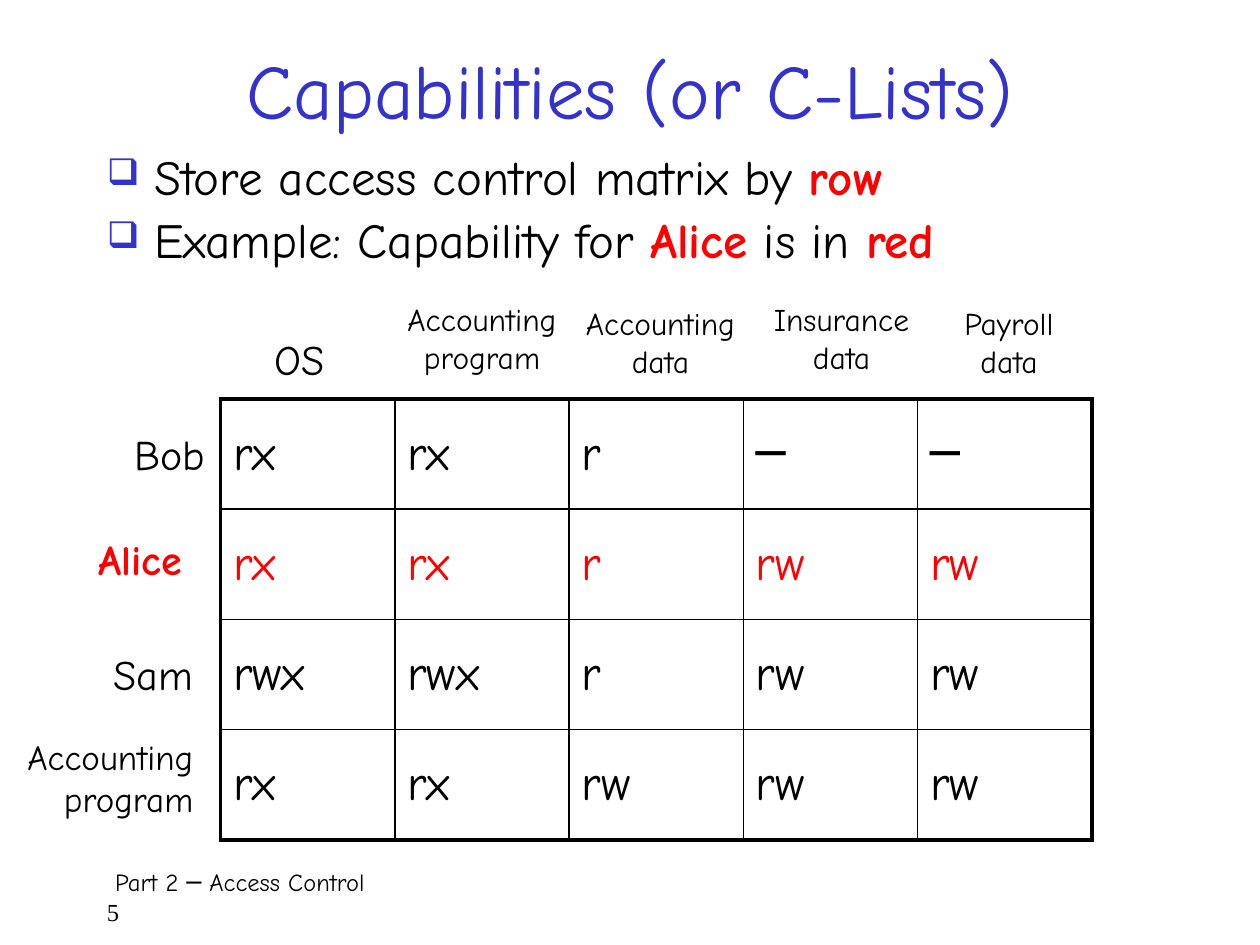
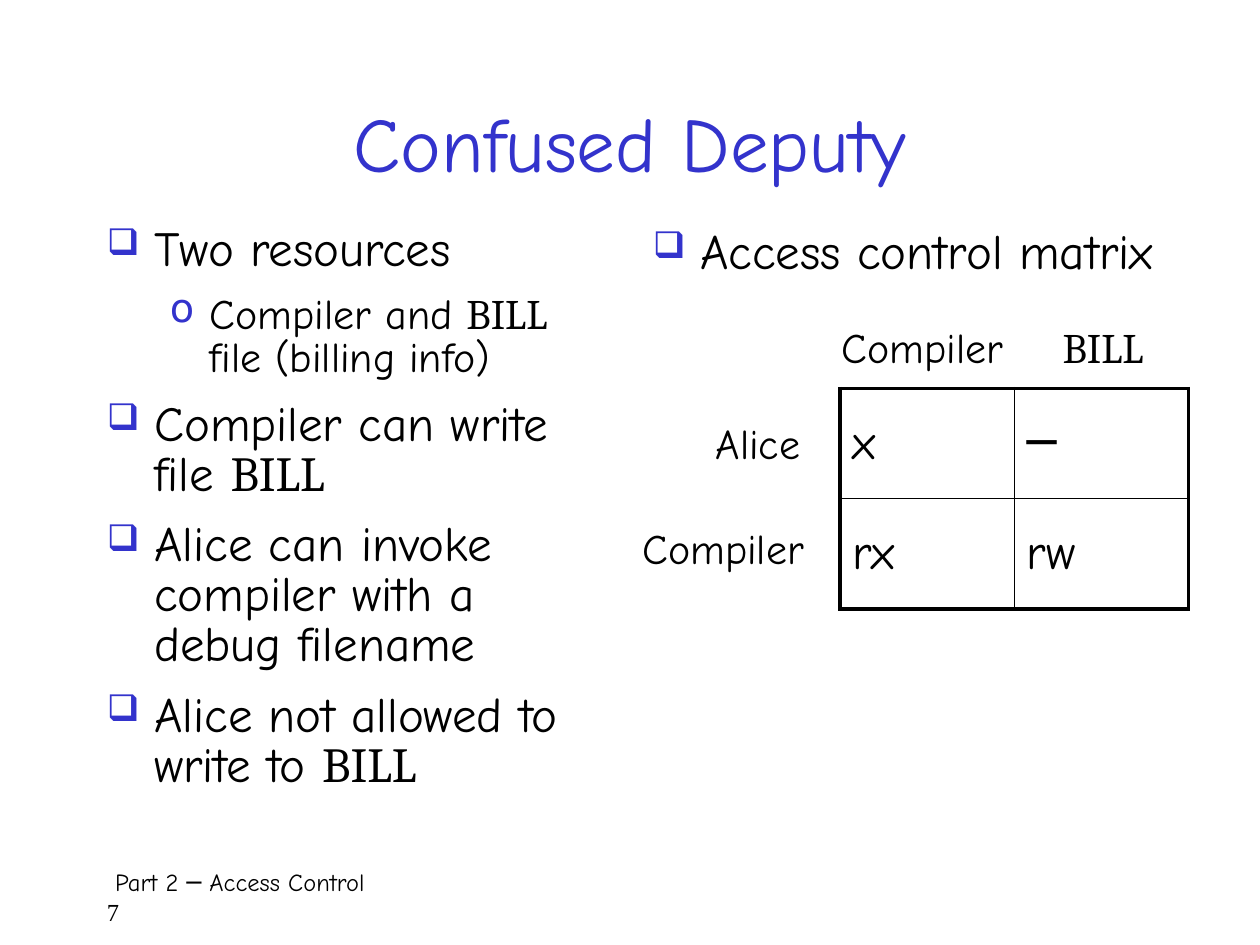
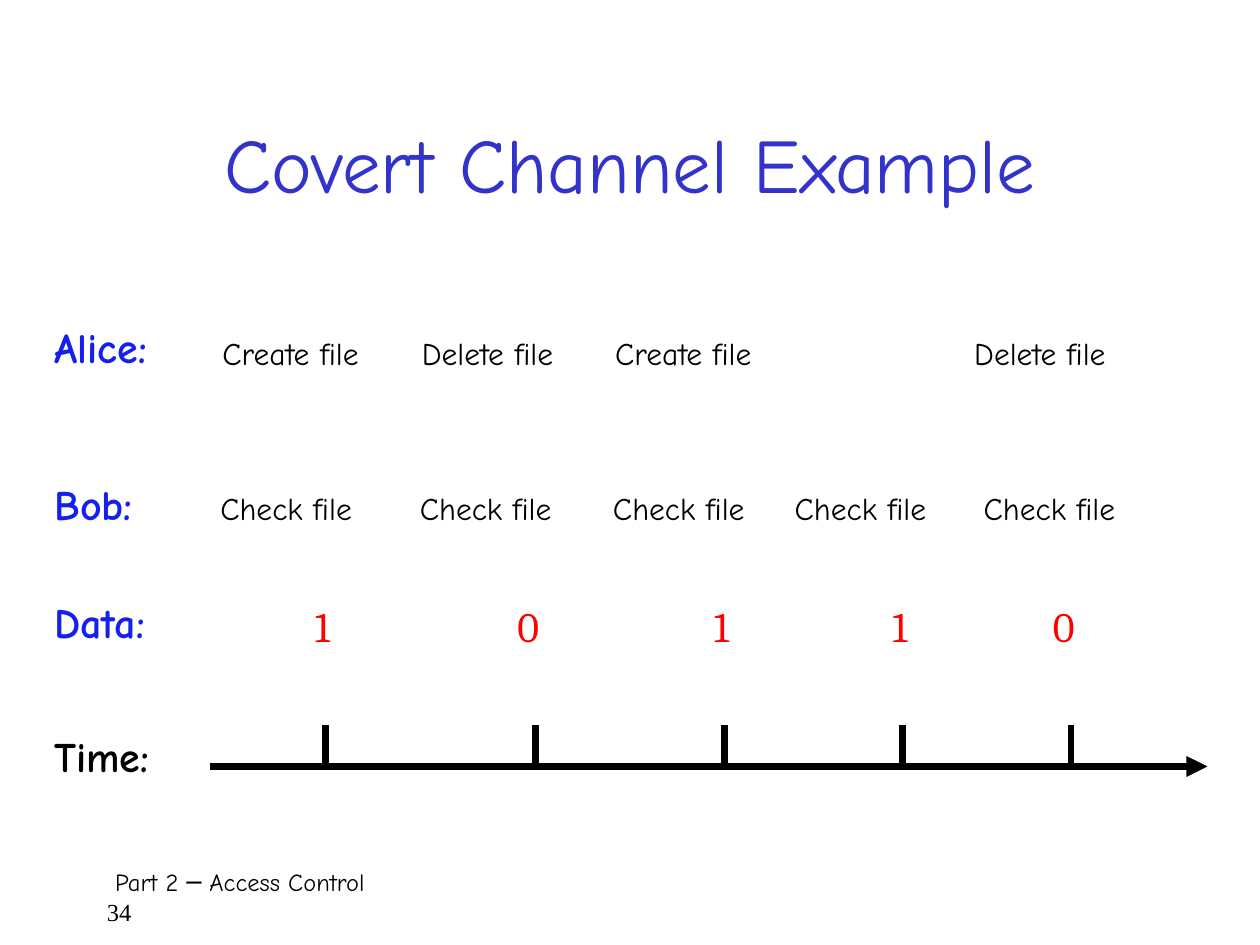
from dataclasses import dataclass
from typing import NamedTuple

import lxml.etree
import pptx
import pptx.dml.color
import pptx.enum.shapes
import pptx.enum.text
import pptx.oxml
import pptx.oxml.ns
import pptx.util

EMU_PER_PX = 7620
BLACK = pptx.dml.color.RGBColor(0x00, 0x00, 0x00)
RED = pptx.dml.color.RGBColor(0xFF, 0x00, 0x00)
INDIGO = pptx.dml.color.RGBColor(0x33, 0x33, 0xCC)
BLUE = pptx.dml.color.RGBColor(0x13, 0x20, 0xEE)
HAND = "Comic Neue"
SERIF = "Cambria"
NUMBER_FONT = "Times New Roman"
LEFT = pptx.enum.text.PP_ALIGN.LEFT
CENTER = pptx.enum.text.PP_ALIGN.CENTER
RIGHT = pptx.enum.text.PP_ALIGN.RIGHT
MIDDLE = pptx.enum.text.MSO_ANCHOR.MIDDLE
CELL_WIDTH, CELL_HEIGHT = 166, 105
THIN, THICK = 1, 2.25


class Box(NamedTuple):
    left: int
    top: int
    width: int
    height: int


class Run(NamedTuple):
    text: str
    font: str = HAND
    color: pptx.dml.color.RGBColor = BLACK
    bold: bool = False


class BulletStyle(NamedTuple):
    symbol: str
    symbol_percent: int
    size: int
    margin: int
    hanging: int


@dataclass
class Bullet:
    runs: list[Run]
    style: BulletStyle


@dataclass
class Label:
    box: Box
    text: str
    size: int = 24
    font: str = HAND
    color: pptx.dml.color.RGBColor = BLACK
    bold: bool = False
    align: pptx.enum.text.PP_ALIGN = LEFT


class TimeSlot(NamedTuple):
    tick: int
    alice_left: int
    alice_text: str
    bob_left: int
    data_left: int
    bit: str


MAIN = BulletStyle("❑", 75, 28, 45, 45)
SUB = BulletStyle("o", 95, 24, 98, 38)


def px(length: int) -> pptx.util.Emu:
    return pptx.util.Emu(length * EMU_PER_PX)


def add_child(parent, tag: str, **attributes: str):
    child = lxml.etree.SubElement(parent, pptx.oxml.ns.qn(tag))
    for name, value in attributes.items():
        child.set(name, value)
    return child


def format_run(run, size: int, font: str, color: pptx.dml.color.RGBColor, bold: bool = False) -> None:
    run.font.size = pptx.util.Pt(size)
    run.font.name = font
    run.font.color.rgb = color
    run.font.bold = bold


def add_text_frame(slide, box: Box):
    shape = slide.shapes.add_textbox(*map(px, box))
    shape.text_frame.word_wrap = True
    return shape.text_frame


def add_label(slide, label: Label) -> None:
    text_frame = add_text_frame(slide, label.box)
    text_frame.word_wrap = False
    text_frame.auto_size = pptx.enum.text.MSO_AUTO_SIZE.SHAPE_TO_FIT_TEXT
    text_frame.text = label.text
    for paragraph in text_frame.paragraphs:
        paragraph.alignment = label.align
        format_run(paragraph.runs[0], label.size, label.font, label.color, label.bold)


def add_slide(presentation, title: str, title_box: Box, number: int):
    slide = presentation.slides.add_slide(presentation.slide_layouts[6])
    footer = add_text_frame(slide, Box(90, 820, 1030, 60))
    footer.text = f"Part 2 ─ Access Control\n{number}"
    caption, page_number = footer.paragraphs
    caption._p.get_or_add_pPr().set("indent", str(px(8)))
    format_run(caption.runs[0], 14, HAND, BLACK)
    format_run(page_number.runs[0], 14, NUMBER_FONT, BLACK)

    heading = add_text_frame(slide, title_box)
    heading.vertical_anchor = MIDDLE
    heading.text = title
    heading.paragraphs[0].alignment = CENTER
    format_run(heading.paragraphs[0].runs[0], 44, HAND, INDIGO)
    return slide


def add_bullets(slide, box: Box, bullets: list[Bullet], line_spacing: float, space_after: int = 0) -> None:
    text_frame = add_text_frame(slide, box)
    for index, bullet in enumerate(bullets):
        paragraph = text_frame.add_paragraph() if index else text_frame.paragraphs[0]
        style = bullet.style
        paragraph.line_spacing = line_spacing
        paragraph.space_before = pptx.util.Pt(style.size * 0.2)
        paragraph.space_after = pptx.util.Pt(space_after)
        properties = paragraph._p.get_or_add_pPr()
        properties.set("marL", str(px(style.margin)))
        properties.set("indent", str(px(-style.hanging)))
        add_child(add_child(properties, "a:buClr"), "a:srgbClr", val=str(INDIGO))
        add_child(properties, "a:buSzPct", val=str(style.symbol_percent * 1000))
        add_child(properties, "a:buChar", char=style.symbol)
        for piece in bullet.runs:
            run = paragraph.add_run()
            run.text = piece.text
            format_run(run, style.size, piece.font, piece.color, piece.bold)


def set_borders(cell, widths: dict[str, float]) -> None:
    properties = cell._tc.get_or_add_tcPr()
    for side, width in widths.items():
        line = add_child(properties, f"a:ln{side}", w=str(pptx.util.Pt(width)))
        add_child(add_child(line, "a:solidFill"), "a:srgbClr", val=str(BLACK))


def add_matrix(slide, left: int, top: int, rows: list[list[str]], red_row: int = -1) -> None:
    row_count, column_count = len(rows), len(rows[0])
    box = Box(left, top, column_count * CELL_WIDTH, row_count * CELL_HEIGHT)
    table = slide.shapes.add_table(row_count, column_count, *map(px, box)).table
    table.first_row = False
    table.horz_banding = False
    for row, values in enumerate(rows):
        for column, value in enumerate(values):
            cell = table.cell(row, column)
            cell.vertical_anchor = MIDDLE
            cell.text_frame.text = value
            paragraph = cell.text_frame.paragraphs[0]
            paragraph.space_before = pptx.util.Pt(5.6)
            format_run(paragraph.runs[0], 28, HAND, RED if row == red_row else BLACK)
            outer_sides = {
                "L": column == 0,
                "R": column == column_count - 1,
                "T": row == 0,
                "B": row == row_count - 1,
            }
            set_borders(cell, {side: THICK if outer else THIN for side, outer in outer_sides.items()})
            cell.fill.background()


def add_line(slide, start: tuple[int, int], end: tuple[int, int], arrow: bool = False) -> None:
    connector = slide.shapes.add_connector(
        pptx.enum.shapes.MSO_CONNECTOR.STRAIGHT, *map(px, start + end)
    )
    connector.line.color.rgb = BLACK
    connector.line.width = pptx.util.Pt(4)
    if arrow:
        add_child(connector.line._get_or_add_ln(), "a:tailEnd", type="triangle")
    add_child(connector._element.spPr, "a:effectLst")


def build_capabilities(presentation) -> None:
    slide = add_slide(presentation, "Capabilities (or C-Lists)", Box(90, 20, 1020, 130), 5)
    bullets = [
        Bullet([Run("Store access control matrix by "), Run("row", color=RED, bold=True)], MAIN),
        Bullet(
            [
                Run("Example: Capability for "),
                Run("Alice", color=RED, bold=True),
                Run(" is in "),
                Run("red", color=RED, bold=True),
            ],
            MAIN,
        ),
    ]
    add_bullets(slide, Box(90, 140, 1020, 150), bullets, 0.9)
    rights = [
        ["rx", "rx", "r", "─", "─"],
        ["rx", "rx", "r", "rw", "rw"],
        ["rwx", "rwx", "r", "rw", "rw"],
        ["rx", "rx", "rw", "rw", "rw"],
    ]
    add_matrix(slide, 210, 380, rights, red_row=1)
    labels = [
        Label(Box(250, 312, 84, 68), "OS"),
        Label(Box(370, 280, 178, 96), "Accounting\nprogram", 18, align=CENTER),
        Label(Box(540, 284, 178, 96), "Accounting\ndata", 18, align=CENTER),
        Label(Box(720, 280, 163, 96), "Insurance\ndata", 18, align=CENTER),
        Label(Box(902, 284, 118, 96), "Payroll\ndata", 18, align=CENTER),
        Label(Box(116, 402, 94, 68), "Bob"),
        Label(Box(82, 502, 119, 68), "Alice", color=RED, bold=True),
        Label(Box(96, 612, 103, 68), "Sam"),
        Label(Box(0, 695, 196, 106), "Accounting\nprogram", 20, align=RIGHT),
    ]
    for label in labels:
        add_label(slide, label)


def build_confused_deputy(presentation) -> None:
    slide = add_slide(presentation, "Confused Deputy", Box(90, 60, 1020, 150), 7)
    bill = Run("BILL", SERIF)
    bullets = [
        Bullet([Run("Two resources")], MAIN),
        Bullet([Run("Compiler and "), bill, Run(" file (billing info)")], SUB),
        Bullet([Run("Compiler can write file "), bill], MAIN),
        Bullet([Run("Alice can invoke compiler with a debug filename")], MAIN),
        Bullet([Run("Alice not allowed to write to "), bill], MAIN),
    ]
    add_bullets(slide, Box(90, 210, 500, 590), bullets, 0.85, 6)
    add_bullets(slide, Box(610, 210, 560, 100), [Bullet([Run("Access control matrix")], MAIN)], 0.9)
    add_matrix(slide, 800, 370, [["x", "─"], ["rx", "rw"]])
    labels = [
        Label(Box(790, 300, 185, 68), "Compiler"),
        Label(Box(997, 300, 107, 60), "BILL", font=SERIF, align=CENTER),
        Label(Box(670, 392, 118, 68), "Alice"),
        Label(Box(600, 492, 185, 68), "Compiler"),
    ]
    for label in labels:
        add_label(slide, label)


def build_covert_channel(presentation) -> None:
    slide = add_slide(presentation, "Covert Channel Example", Box(90, 80, 1020, 150), 34)
    row_labels = [
        Label(Box(40, 300, 136, 68), "Alice:", color=BLUE, bold=True),
        Label(Box(40, 450, 112, 68), "Bob:", color=BLUE, bold=True),
        Label(Box(40, 562, 133, 68), "Data:", color=BLUE, bold=True),
        Label(Box(40, 690, 134, 68), "Time:", bold=True),
    ]
    for label in row_labels:
        add_label(slide, label)

    axis_top = 730
    add_line(slide, (200, axis_top), (1150, axis_top), arrow=True)
    time_slots = [
        TimeSlot(310, 200, "Create file", 198, 288, "1"),
        TimeSlot(510, 390, "Delete file", 388, 481, "0"),
        TimeSlot(690, 574, "Create file", 572, 668, "1"),
        TimeSlot(860, 745, "", 745, 838, "1"),
        TimeSlot(1020, 916, "Delete file", 925, 991, "0"),
    ]
    for slot in time_slots:
        add_line(slide, (slot.tick, axis_top), (slot.tick, axis_top - 40))
        if slot.alice_text:
            add_label(slide, Label(Box(slot.alice_left, 312, 176, 54), slot.alice_text, 18))
        add_label(slide, Label(Box(slot.bob_left, 460, 164, 54), "Check file", 18))
        add_label(slide, Label(Box(slot.data_left, 566, 47, 60), slot.bit, font=SERIF, color=RED))


def main() -> None:
    presentation = pptx.Presentation()
    presentation.slide_width = px(1200)
    presentation.slide_height = px(900)
    build_capabilities(presentation)
    build_confused_deputy(presentation)
    build_covert_channel(presentation)
    presentation.save("out.pptx")


if __name__ == "__main__":
    main()
